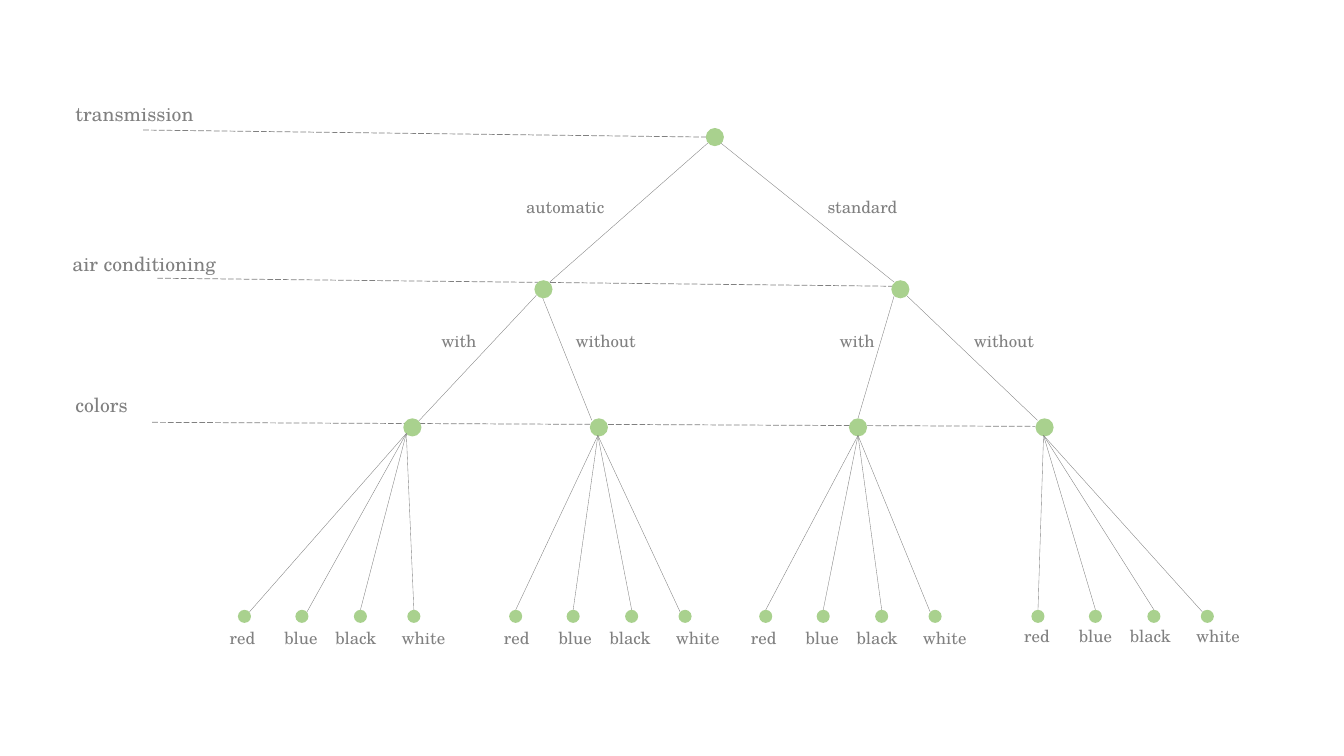
"""Build a decision tree slide of car options."""
from lxml import etree
from pptx import Presentation
from pptx import util as u
from pptx.dml.color import RGBColor
from pptx.enum import dml, shapes, text
from pptx.oxml.ns import qn

GREEN = RGBColor(0xA9, 0xD1, 0x8E)
GRAY = RGBColor(0x80, 0x80, 0x80)

LEVELS = [
    ("transmission", 0.65, 0.96, 1.53, (1.42, 1.29, 7, 1.36)),
    ("air conditioning", 0.62, 2.45, 1.86, (1.56, 2.76, 8.86, 2.84)),
    ("colors", 0.65, 3.85, 1.71, (1.51, 4.19, 10.27, 4.23)),
]
BRANCHES = [
    ("automatic", 5.12, 1.9, 1.02, (7.02, 1.42, 5.45, 2.8)),
    ("standard", 8.11, 1.9, 1.01, (7.15, 1.42, 8.87, 2.8)),
    ("with", 4.28, 3.23, 0.56, (5.32, 2.93, 4.15, 4.18)),
    ("without", 5.61, 3.23, 0.88, (5.38, 2.95, 5.87, 4.17)),
    ("with", 8.23, 3.23, 0.56, (8.87, 2.93, 8.51, 4.15)),
    ("without", 9.56, 3.23, 0.88, (8.99, 2.93, 10.29, 4.17)),
]
NODES = [(7, 1.27), (5.3, 2.78), (8.84, 2.78),
         (4, 4.15), (5.85, 4.15), (8.42, 4.15), (10.27, 4.15)]
NODE_SIZE, LEAF_SIZE, LEAF_TOP = 0.18, 0.13, 6.05
COLORS = [("red", 0, 0, 0.47), ("blue", 0.57, 0.55, 0.53),
          ("black", 1.15, 1.03, 0.66), ("white", 1.68, 1.7, 0.66)]
FANS = [
    ((4.03, 4.3), 2.36, 2.17, 6.18, (0.05, 0.05, 0, 0)),
    ((5.93, 4.32), 5.05, 4.89, 6.18, (0, 0, 0, -0.05)),
    ((8.51, 4.32), 7.53, 7.34, 6.18, (0, 0, 0, -0.05)),
    ((10.35, 4.32), 10.23, 10.05, 6.16, (0, 0, 0, -0.05)),
]


def write(box, words, size=12, align=text.PP_ALIGN.LEFT, wrap=True,
          font="TeX Gyre Schola", color=GRAY):
    frame = box.text_frame
    frame.word_wrap = wrap
    frame.auto_size = text.MSO_AUTO_SIZE.SHAPE_TO_FIT_TEXT
    para = frame.paragraphs[0]
    para.alignment = align
    span = para.add_run()
    span.text = words
    span.font.name = font
    span.font.size = u.Pt(size)
    span.font.color.rgb = color


class Tree:
    def __init__(self, page):
        self.page = page

    def dot(self, left, top, size):
        circle = self.page.shapes.add_shape(
            shapes.MSO_SHAPE.OVAL, *map(u.Inches, (left, top, size, size)))
        circle.shadow.inherit = False
        circle.fill.solid()
        circle.fill.fore_color.rgb = GREEN
        circle.line.fill.background()

    def line(self, ends, width=0.25, dash=None):
        link = self.page.shapes.add_connector(
            shapes.MSO_CONNECTOR.STRAIGHT, *map(u.Inches, ends))
        link.line.color.rgb = GRAY
        link.line.width = u.Pt(width)
        if dash:
            link.line.dash_style = dash
        etree.SubElement(link._element.spPr, qn("a:effectLst"))

    def label(self, words, left, top, width, height=0.3, **style):
        box = self.page.shapes.add_textbox(
            *map(u.Inches, (left, top, width, height)))
        write(box, words, **style)

    def fan(self, start, dots_left, labels_left, labels_top, shifts):
        for (color, dot_step, label_step, width), shift in zip(COLORS, shifts):
            left = dots_left + dot_step
            end = (left + LEAF_SIZE / 2 + shift,
                   LEAF_TOP + (0.02 if shift else 0))
            self.line(start + end)
            self.dot(left, LEAF_TOP, LEAF_SIZE)
            self.label(color, labels_left + label_step, labels_top, width,
                       align=text.PP_ALIGN.CENTER, wrap=False)


def main():
    deck = Presentation()
    deck.slide_width, deck.slide_height = u.Inches(13.33), u.Inches(7.5)
    tree = Tree(deck.slides.add_slide(deck.slide_layouts[6]))
    for name, left, top, width, ends in LEVELS:
        tree.line(ends, width=0.5, dash=dml.MSO_LINE.LONG_DASH)
        tree.label(name, left, top, width, height=0.34, size=14)
    for name, left, top, width, ends in BRANCHES:
        tree.line(ends)
        tree.label(name, left, top, width)
    for left, top in NODES:
        tree.dot(left, top, NODE_SIZE)
    for fan in FANS:
        tree.fan(*fan)
    deck.save("out.pptx")


if __name__ == "__main__":
    main()
